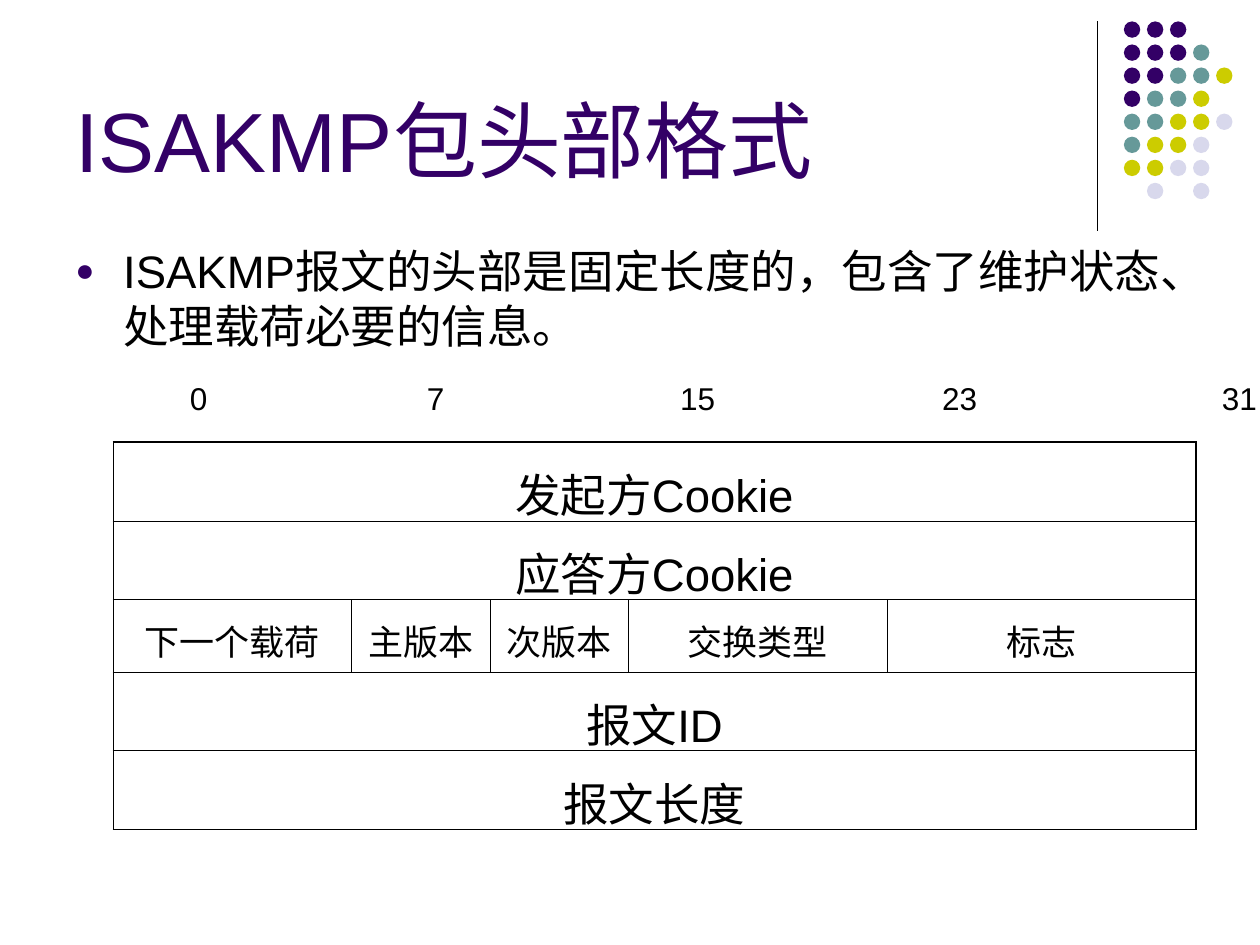
from lxml.etree import SubElement
from pptx import Presentation
from pptx.dml.color import RGBColor
from pptx.enum.shapes import MSO_CONNECTOR as Connector, MSO_SHAPE as Shape
from pptx.enum.text import MSO_ANCHOR as Anchor, MSO_AUTO_SIZE as AutoSize, PP_ALIGN as Align
from pptx.oxml.ns import qn
from pptx.util import Inches, Pt

COLORS = {"ink": "000000", "purple": "330066", "teal": "669999",
          "lime": "CCCC00", "mist": "D8D8EC"}
DOT_COLORS = {"P": "purple", "T": "teal", "L": "lime", "M": "mist"}
DOT_ROWS = ["PPP", "PPPT", "PPTTL", "PTTL", "TTLLM", "TLLM", "LLMM", " M M"]
HEADER_FIELDS = [
    ["发起方Cookie"],
    ["应答方Cookie"],
    ["下一个载荷", "主版本", "次版本", "交换类型", "标志"],
    ["报文ID"],
    ["报文长度"],
]
FIELD_WIDTHS = [18.9, 11, 11, 20.5, 24.5]
BIT_TABS = {"0": 0, "7": 18.8, "15": 38.9, "23": 59.7, "31": 81.9}


class SlideBuilder:
    """Places elements on a grid of 100 columns by 75 rows."""

    font = "Arial"
    outer_line, inner_line = 1.08, 0.45

    def __init__(self, deck):
        self.cell = deck.slide_width / 100
        self.slide = deck.slides.add_slide(deck.slide_layouts[5])

    def units(self, *lengths):
        return [round(length * self.cell) for length in lengths]

    def color(self, name):
        return RGBColor.from_string(COLORS[name])

    def format_text(self, paragraph, size, color="ink", align=Align.LEFT):
        paragraph.alignment = align
        for run in paragraph.runs:
            run.font.name = self.font
            run.font.size = Pt(size)
            run.font.color.rgb = self.color(color)

    def title(self, text, box, size):
        title = self.slide.shapes.title
        title.left, title.top, title.width, title.height = self.units(*box)
        frame = title.text_frame
        frame.text = text
        frame.auto_size = AutoSize.NONE
        frame.vertical_anchor = Anchor.BOTTOM
        self.format_text(frame.paragraphs[0], size, "purple")

    def text_box(self, text, box):
        frame = self.slide.shapes.add_textbox(*self.units(*box)).text_frame
        frame.word_wrap = True
        frame.text = text
        return frame

    def bullet(self, text, box, size, indent):
        paragraph = self.text_box(text, box).paragraphs[0]
        props = paragraph._p.get_or_add_pPr()
        hang = self.units(indent)[0]
        props.set("marL", str(hang))
        props.set("indent", str(-hang))
        bullet_color = SubElement(props, qn("a:buClr"))
        SubElement(bullet_color, qn("a:srgbClr"), val=COLORS["purple"])
        SubElement(props, qn("a:buSzPct"), val="70000")
        SubElement(props, qn("a:buFont"), typeface=self.font)
        SubElement(props, qn("a:buChar"), char="●")
        self.format_text(paragraph, size)

    def tabbed_line(self, stops, box, size):
        """One line whose words sit at the given tab stops."""
        frame = self.text_box("\t".join(stops), box)
        frame.margin_right = 0
        paragraph = frame.paragraphs[0]
        tabs = SubElement(paragraph._p.get_or_add_pPr(), qn("a:tabLst"))
        for position in self.units(*stops.values())[1:]:
            SubElement(tabs, qn("a:tab"), pos=str(position), algn="l")
        self.format_text(paragraph, size)

    def vertical_rule(self, x, top, bottom, width):
        rule = self.slide.shapes.add_connector(
            Connector.STRAIGHT, *self.units(x, top, x, bottom))
        rule.line.color.rgb = self.color("ink")
        rule.line.width = Pt(width)
        SubElement(rule._element.spPr, qn("a:effectLst"))

    def dots(self, rows, left, top, pitch, size):
        for row, pattern in enumerate(rows):
            for column, key in enumerate(pattern):
                if key == " ":
                    continue
                dot = self.slide.shapes.add_shape(Shape.OVAL, *self.units(
                    left + column * pitch, top + row * pitch, size, size))
                dot.shadow.inherit = False
                dot.fill.solid()
                dot.fill.fore_color.rgb = self.color(DOT_COLORS[key])
                dot.line.fill.background()

    def borders(self, cell, outer_sides):
        props = cell._tc.get_or_add_tcPr()
        for side in "LRTB":
            width = self.outer_line if side in outer_sides else self.inner_line
            line = SubElement(props, qn(f"a:ln{side}"), w=str(Pt(width)))
            fill = SubElement(line, qn("a:solidFill"))
            SubElement(fill, qn("a:srgbClr"), val=COLORS["ink"])

    def packet_table(self, rows, widths, left, top):
        """A row with a single field spans every column."""
        last_row, last_column = len(rows) - 1, len(widths) - 1
        heights = [6.25 if len(fields) == 1 else 5.75 for fields in rows]
        table = self.slide.shapes.add_table(
            len(rows), len(widths),
            *self.units(left, top, sum(widths), sum(heights))).table
        table.first_row = table.horz_banding = False
        for column, width in zip(table.columns, self.units(*widths)):
            column.width = width
        for r, fields in enumerate(rows):
            table.rows[r].height = self.units(heights[r])[0]
            spans = len(fields) == 1
            if spans:
                table.cell(r, 0).merge(table.cell(r, last_column))
            for c in range(len(widths)):
                cell = table.cell(r, c)
                edges = {"L": c == 0 or spans, "R": c == last_column or spans,
                         "T": r == 0, "B": r == last_row}
                self.borders(cell, [side for side, outer in edges.items() if outer])
                cell.fill.background()
            for c, field in enumerate(fields):
                cell = table.cell(r, c)
                cell.text = field
                cell.margin_top = Inches(0.14 if spans else 0.12)
                self.format_text(cell.text_frame.paragraphs[0],
                                 26 if spans else 20, align=Align.CENTER)


def main():
    deck = Presentation()
    deck.slide_width, deck.slide_height = Inches(10), Inches(7.5)
    page = SlideBuilder(deck)
    page.vertical_rule(87.1, 1.7, 18.3, 0.75)
    page.dots(DOT_ROWS, left=89.2, top=1.7, pitch=1.83, size=1.3)
    page.title("ISAKMP包头部格式", (5, 1.3, 82.5, 14.2), 48)
    page.bullet("ISAKMP报文的头部是固定长度的，包含了维护状态、处理载荷必要的信息。",
                (5, 18.8, 92.3, 10.8), 26, indent=3.8)
    page.packet_table(HEADER_FIELDS, FIELD_WIDTHS, left=9, top=35.1)
    page.tabbed_line(BIT_TABS, (14.1, 29.6, 86.7, 4), 18)
    deck.save("out.pptx")


if __name__ == "__main__":
    main()
